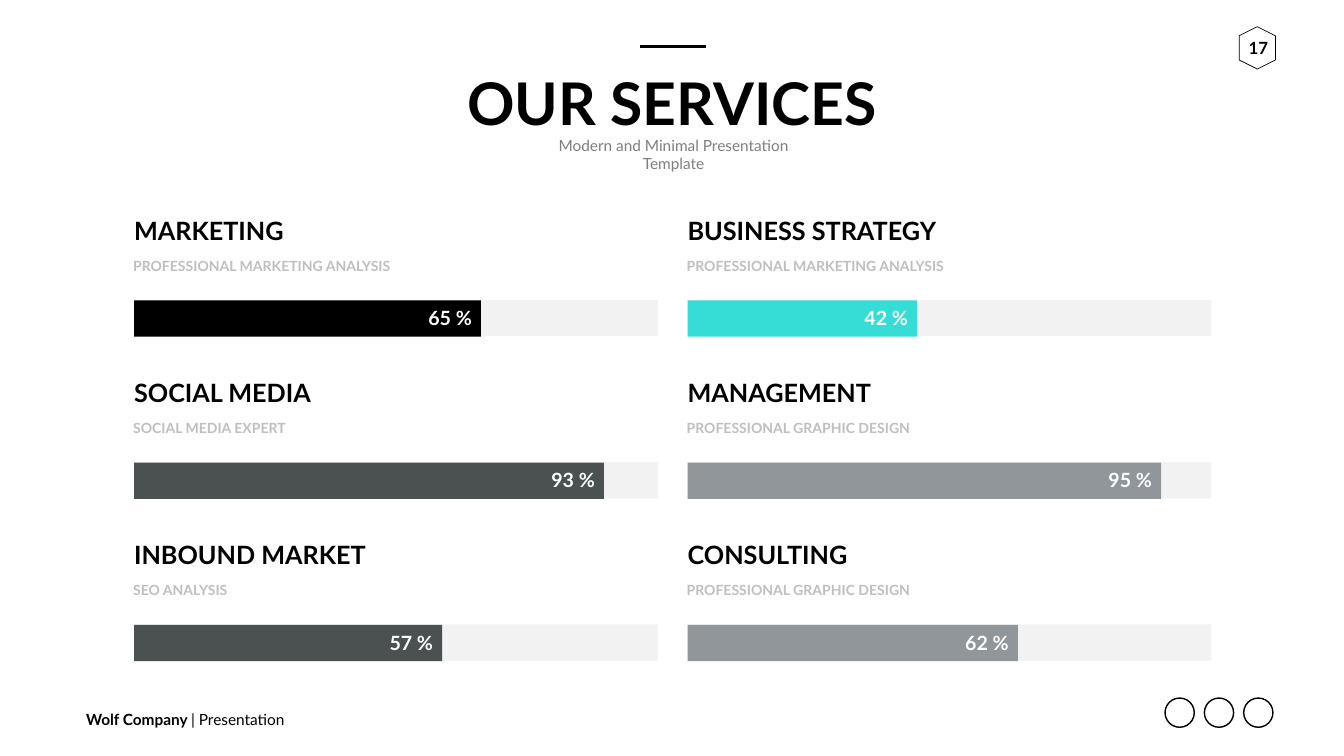
from lxml.etree import SubElement
from pptx import Presentation
from pptx.dml.color import RGBColor
from pptx.enum.shapes import MSO_CONNECTOR, MSO_SHAPE
from pptx.enum.text import MSO_ANCHOR, PP_ALIGN
from pptx.oxml.ns import qn
from pptx.util import Pt

PX = 9144
FONT = "Lato"
BLACK = RGBColor(0x00, 0x00, 0x00)
WHITE = RGBColor(0xFF, 0xFF, 0xFF)
GRAY = RGBColor(0x7F, 0x7F, 0x7F)
SILVER = RGBColor(0xBF, 0xBF, 0xBF)
TRACK = RGBColor(0xF2, 0xF2, 0xF2)
TURQUOISE = RGBColor(0x36, 0xDD, 0xD7)
CHARCOAL = RGBColor(0x4B, 0x50, 0x50)
STEEL = RGBColor(0x91, 0x96, 0x9B)

SERVICES = [
    ("MARKETING", 303, "PROFESSIONAL MARKETING ANALYSIS", 515, "65 %", 688, BLACK),
    ("BUSINESS STRATEGY", 500, "PROFESSIONAL MARKETING ANALYSIS", 515, "42 %", 455, TURQUOISE),
    ("SOCIAL MEDIA", 360, "SOCIAL MEDIA EXPERT", 306, "93 %", 932, CHARCOAL),
    ("MANAGEMENT", 380, "PROFESSIONAL GRAPHIC DESIGN", 445, "95 %", 939, STEEL),
    ("INBOUND MARKET", 465, "SEO ANALYSIS", 189, "57 %", 611, CHARCOAL),
    ("CONSULTING", 325, "PROFESSIONAL GRAPHIC DESIGN", 445, "62 %", 655, STEEL),
]


def emu(*lengths):
    return [n * PX for n in lengths]


def add_text(s, box, text, size, color, bold=True, align=PP_ALIGN.LEFT,
             anchor=MSO_ANCHOR.MIDDLE, inset=0, wrap=False):
    sp = s.shapes.add_textbox(*emu(*box))
    tf = sp.text_frame
    tf.word_wrap = wrap
    tf.vertical_anchor = anchor
    tf.margin_left = tf.margin_right = inset * PX
    tf.margin_top = tf.margin_bottom = inset // 2 * PX
    p = tf.paragraphs[0]
    p.text = text
    p.alignment = align
    for r in p.runs:
        format_run(r, size, color, bold)
    return p


def format_run(r, size, color, bold):
    r.font.name = FONT
    r.font.size = Pt(size)
    r.font.bold = bold
    r.font.color.rgb = color


def add_shape(s, kind, box, fill=None, line=None, weight=1):
    sp = s.shapes.add_shape(kind, *emu(*box))
    sp.shadow.inherit = False
    if fill is None:
        sp.fill.background()
    else:
        sp.fill.solid()
        sp.fill.fore_color.rgb = fill
    if line is None:
        sp.line.fill.background()
    else:
        sp.line.color.rgb = line
        sp.line.width = Pt(weight)
    return sp


def add_header(s, x, y, w):
    mid = x + w // 2
    rule = s.shapes.add_connector(MSO_CONNECTOR.STRAIGHT, *emu(mid - 63, y, mid + 67, y))
    rule.line.color.rgb = BLACK
    rule.line.width = Pt(4.5)
    SubElement(rule._element.spPr, qn("a:effectLst"))
    add_text(s, (x, y + 36, w, 151), "OUR SERVICES", 84, BLACK,
             align=PP_ALIGN.CENTER, anchor=MSO_ANCHOR.TOP, inset=10)
    add_text(s, (mid - 295, y + 191, 596, 47), "Modern and Minimal Presentation Template",
             22, GRAY, bold=False, align=PP_ALIGN.CENTER, inset=10, wrap=True)


def add_page_number(s, x, y, w, h):
    badge = add_shape(s, MSO_SHAPE.HEXAGON, (x, y, w, h), line=BLACK)
    badge.rotation = 90
    add_text(s, (x, y + 6, w + 4, h - 11), "17", 24, BLACK, align=PP_ALIGN.CENTER)


def add_service(s, x, y, w, service):
    title, title_w, subtitle, subtitle_w, value, bar_w, color = service
    add_text(s, (x, y, title_w, 61), title, 36, BLACK)
    add_text(s, (x - 2, y + 84, subtitle_w, 34), subtitle, 20, SILVER)
    add_shape(s, MSO_SHAPE.RECTANGLE, (x, y + 169, w, 72), fill=TRACK)
    add_shape(s, MSO_SHAPE.RECTANGLE, (x, y + 170, bar_w, 72), fill=color)
    add_text(s, (x + bar_w - 105, y + 181, 87, 47), value, 28, WHITE, align=PP_ALIGN.RIGHT)


def add_services(s, x, y, col_step, row_step):
    for i, service in enumerate(SERVICES):
        row, col = divmod(i, 2)
        add_service(s, x + col * col_step, y + row * row_step, 1039, service)


def add_footer(s, x, y, w):
    p = add_text(s, (x, y + 20, 417, 47), "Wolf Company ", 22, BLACK, inset=10)
    r = p.add_run()
    r.text = "| Presentation"
    format_run(r, 22, BLACK, False)
    for i in range(3):
        left = x + w - 214 + i * 78
        add_shape(s, MSO_SHAPE.OVAL, (left, y + 2, 58, 58), line=BLACK, weight=2)


def main():
    prs = Presentation()
    prs.slide_width, prs.slide_height = emu(2666, 1500)
    s = prs.slides.add_slide(prs.slide_layouts[6])
    add_footer(s, 161, 1383, 2364)
    add_page_number(s, 2452, 59, 84, 72)
    add_services(s, 266, 426, 1098, 322)
    add_header(s, 912, 92, 842)
    prs.save("out.pptx")


if __name__ == "__main__":
    main()
